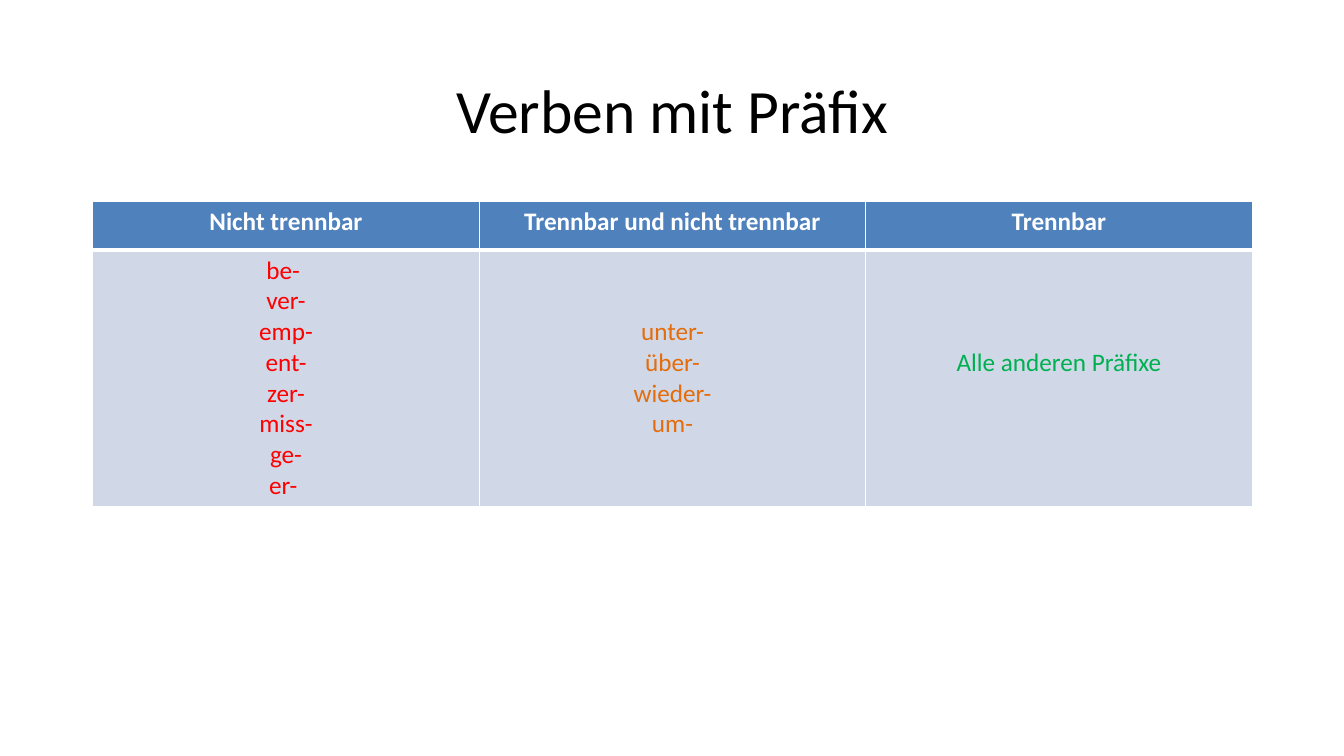
from lxml import etree
from pptx import Presentation
from pptx.dml.color import RGBColor
from pptx.enum.text import MSO_ANCHOR, PP_ALIGN
from pptx.oxml.ns import qn
from pptx.util import Inches, Pt

CENTER = PP_ALIGN.CENTER
MIDDLE = MSO_ANCHOR.MIDDLE
TITLE_ONLY = 5
FONT = "Calibri"
BLACK = RGBColor(0x00, 0x00, 0x00)
WHITE = RGBColor(0xFF, 0xFF, 0xFF)
BLUE = RGBColor(0x4F, 0x81, 0xBD)
PALE_BLUE = RGBColor(0xD0, 0xD8, 0xE8)
RED = RGBColor(0xFF, 0x00, 0x00)
ORANGE = RGBColor(0xE4, 0x6C, 0x0A)
GREEN = RGBColor(0x00, 0xB0, 0x50)

LEFT, WIDTH = 0.92, 11.5
HEADER_HEIGHT, BODY_HEIGHT = 0.48, 2.5
LINE_HEIGHT, CELL_MARGIN = 0.305, 0.05

PREFIX_GROUPS = [
    ("Nicht trennbar", RED, 0,
     ["be- ", "ver-", "emp-", "ent-", "zer-", "miss-", "ge-", "er- "]),
    ("Trennbar und nicht trennbar", ORANGE, 2,
     ["unter-", "über-", "wieder-", "um-"]),
    ("Trennbar", GREEN, 3, ["Alle anderen Präfixe"]),
]


def write_lines(frame, lines, size, color, bold=False):
    """Write each line as a centred paragraph and return the paragraphs."""
    for index, line in enumerate(lines):
        para = frame.paragraphs[0] if index == 0 else frame.add_paragraph()
        para.alignment = CENTER
        span = para.add_run()
        span.text = line
        span.font.name = FONT
        span.font.size = Pt(size)
        span.font.bold = bold
        span.font.color.rgb = color
    return frame.paragraphs


def set_borders(cell, top, bottom):
    """Give a cell white edges, with top and bottom widths in points."""
    properties = cell._tc.get_or_add_tcPr()
    for side, width in (("L", 1), ("R", 1), ("T", top), ("B", bottom)):
        edge = etree.SubElement(properties, qn(f"a:ln{side}"), w=str(Pt(width)))
        fill = etree.SubElement(edge, qn("a:solidFill"))
        etree.SubElement(fill, qn("a:srgbClr"), val=str(WHITE))


def fill_cell(cell, color, top, bottom):
    """Set the borders and background of a cell."""
    set_borders(cell, top, bottom)
    cell.fill.solid()
    cell.fill.fore_color.rgb = color


def add_title(page, text):
    """Place and format the slide title."""
    title = page.shapes.title
    title.left, title.top = Inches(LEFT), Inches(0.4)
    title.width, title.height = Inches(WIDTH), Inches(1.45)
    title.text_frame.vertical_anchor = MIDDLE
    para = write_lines(title.text_frame, [text], 44, BLACK)[0]
    para.line_spacing = 0.9


def add_prefix_table(page, groups):
    """Add a table with one column for each group of prefixes."""
    table = page.shapes.add_table(
        2, len(groups), Inches(LEFT), Inches(2), Inches(WIDTH),
        Inches(HEADER_HEIGHT + BODY_HEIGHT)).table
    table.rows[0].height = Inches(HEADER_HEIGHT)
    table.rows[1].height = Inches(BODY_HEIGHT)
    for column, (heading, color, lines_above, prefixes) in enumerate(groups):
        header, body = table.cell(0, column), table.cell(1, column)
        fill_cell(header, BLUE, 1, 3)
        write_lines(header.text_frame, [heading], 18, WHITE, bold=True)
        fill_cell(body, PALE_BLUE, 3, 1)
        body.margin_top = Inches(CELL_MARGIN + lines_above * LINE_HEIGHT)
        write_lines(body.text_frame, prefixes, 18, color)


def main():
    """Build and save the deck."""
    deck = Presentation()
    deck.slide_width, deck.slide_height = Inches(13.33), Inches(7.5)
    page = deck.slides.add_slide(deck.slide_layouts[TITLE_ONLY])
    add_title(page, "Verben mit Präfix")
    add_prefix_table(page, PREFIX_GROUPS)
    deck.save("out.pptx")


main()
